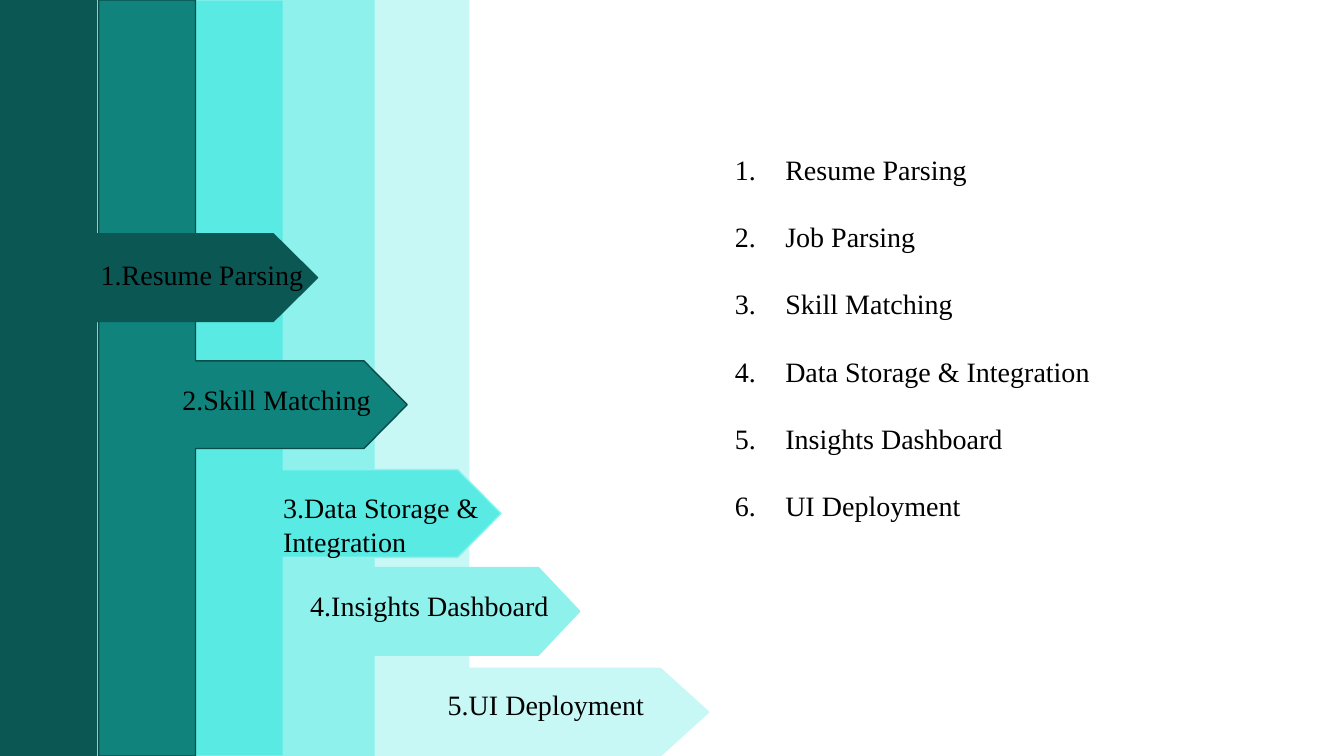
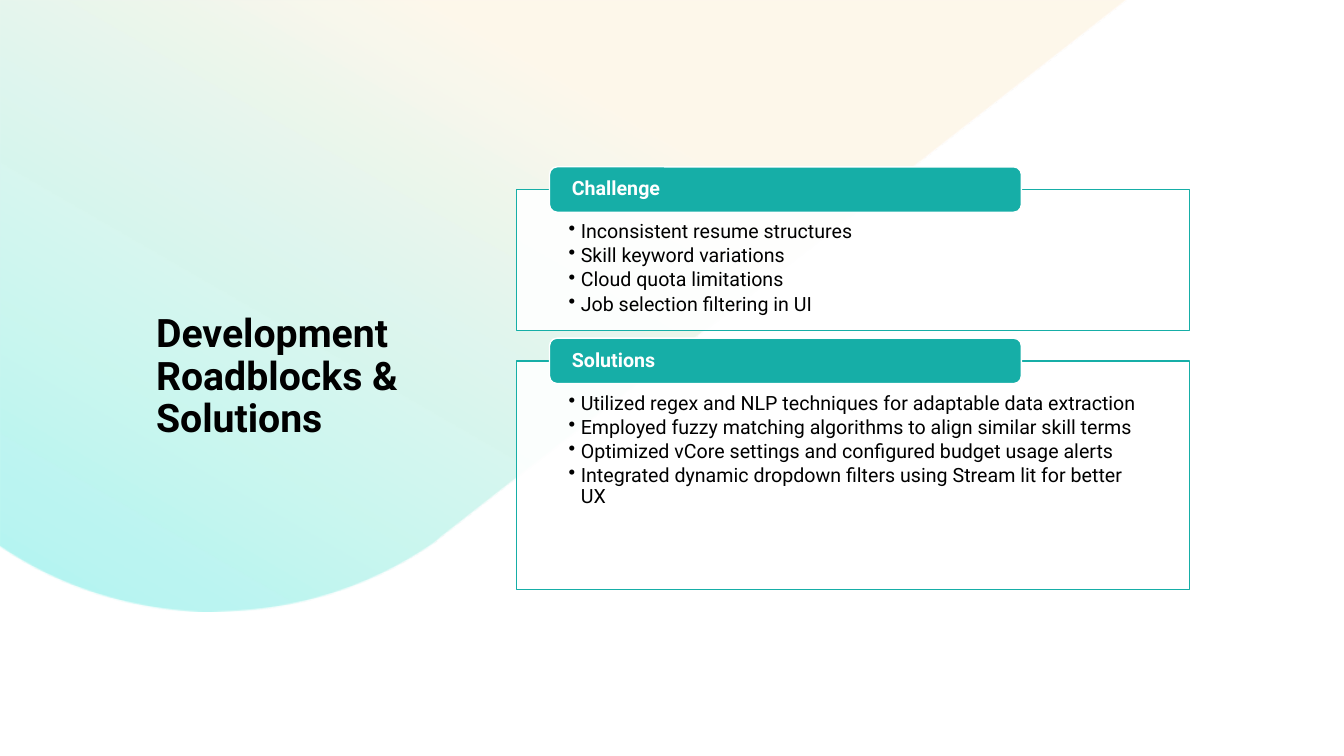
"""Build a two-slide deck: process arrows, and roadblocks with solutions."""
from dataclasses import dataclass

from lxml.etree import SubElement
from pptx import Presentation
from pptx.dml.color import RGBColor
from pptx.enum.shapes import MSO_SHAPE
from pptx.enum.text import MSO_ANCHOR, PP_ALIGN
from pptx.oxml.ns import qn
from pptx.util import Inches, Pt


@dataclass(frozen=True)
class Theme:
    ink: str = "000000"
    white: str = "FFFFFF"
    teal: str = "16AEA7"
    cream: str = "FEEFD9"
    aqua: str = "58EAE3"
    serif: str = "Times New Roman"
    sans: str = "Roboto"
    title: int = 28
    label: int = 20
    body: int = 14


T = Theme()
WIDE, HIGH = 13.33, 7.5
BAND, SHAFT = 0.96, 0.87

BANDS = [
    dict(left=0, top=2.32, neck=2.71, tip=3.15, fill="0B5754", line="0B5754",
         text="1.Resume Parsing", box=(0.9, 2.51, 2.8, 0.44)),
    dict(left=0.98, top=3.58, neck=3.61, tip=4.04, fill="10837D", line="0A4C49",
         text="2.Skill Matching", box=(1.71, 3.75, 2.8, 0.44)),
    dict(left=1.85, top=4.66, neck=4.54, tip=4.97, fill=T.aqua, line="8FF1EC",
         text="3.Data Storage & Integration", box=(2.71, 4.82, 2.8, 0.77)),
    dict(left=2.75, top=5.63, neck=5.34, tip=5.75, fill="8FF1EC", line="8FF1EC",
         text="4.Insights Dashboard", box=(2.86, 5.79, 2.8, 0.44), align=PP_ALIGN.CENTER),
    dict(left=3.69, top=6.63, neck=6.55, tip=7.03, fill="C7F8F6", line="C7F8F6",
         text="5.UI Deployment", box=(3.88, 6.77, 3.07, 0.44), align=PP_ALIGN.CENTER),
]

STEPS = ["Resume Parsing", "Job Parsing", "Skill Matching",
         "Data Storage & Integration", "Insights Dashboard", "UI Deployment"]

TITLE = "Development Roadblocks & Solutions"
CARDS = [
    ("Challenge", 1.4, [
        "Inconsistent resume structures",
        "Skill keyword variations",
        "Cloud quota limitations",
        "Job selection filtering in UI"]),
    ("Solutions", 2.27, [
        "Utilized regex and NLP techniques for adaptable data extraction",
        "Employed fuzzy matching algorithms to align similar skill terms",
        "Optimized vCore settings and configured budget usage alerts",
        "Integrated dynamic dropdown filters using Stream lit for better UX"]),
]

CURVES = [
    ((4.31, 5.38), (3.69, 5.81), (2.99, 6.03), (2.29, 6.06)),
    ((2.07, 6.07), (1.33, 6.05), (0.61, 5.83), (0, 5.41)),
]


def write(shape, lines, font=T.sans, size=T.body, color=T.ink, bold=False,
          align=PP_ALIGN.LEFT, anchor=MSO_ANCHOR.TOP, inset=(0.1, 0.05, 0.1, 0.05),
          bullet=None, indent=0, space=1, after=0):
    frame = shape.text_frame
    frame.word_wrap = True
    frame.vertical_anchor = anchor
    (frame.margin_left, frame.margin_top,
     frame.margin_right, frame.margin_bottom) = map(Inches, inset)
    for i, line in enumerate(lines):
        para = frame.add_paragraph() if i else frame.paragraphs[0]
        para.alignment = align
        para.line_spacing = space
        para.space_after = Pt(after)
        if bullet:
            tag, key, value = bullet
            props = para._p.get_or_add_pPr()
            props.set("marL", str(Inches(indent)))
            props.set("indent", str(-Inches(indent)))
            SubElement(props, qn(tag)).set(key, value)
        run = para.add_run()
        run.text = line
        run.font.name, run.font.size, run.font.bold = font, Pt(size), bold
        run.font.color.rgb = RGBColor.from_string(color)


def place(slide, box, kind=None):
    area = [Inches(n) for n in box]
    if kind is None:
        return slide.shapes.add_textbox(*area)
    return slide.shapes.add_shape(kind, *area)


def paint(shape, fill, line):
    shape.shadow.inherit = False
    shape.fill.solid()
    shape.fill.fore_color.rgb = RGBColor.from_string(fill)
    shape.line.color.rgb = RGBColor.from_string(line)
    shape.line.width = Pt(1)


def fade(shape, *shares):
    for node, share in zip(shape.element.iter(qn("a:srgbClr")), shares):
        SubElement(node, qn("a:alpha")).set("val", str(share * 1000))


def trace(slide, points):
    spots = [(Inches(x), Inches(y)) for x, y in points]
    pen = slide.shapes.build_freeform(*spots[0])
    pen.add_line_segments(spots[1:], close=True)
    return pen.convert_to_shape()


def bend(a, b, c, d, count=24):
    for i in range(count + 1):
        t = i / count
        u = 1 - t
        yield tuple(u**3 * p + 3 * u * u * t * q + 3 * u * t * t * r + t**3 * s
                    for p, q, r, s in zip(a, b, c, d))


def draw_steps(slide):
    for band in reversed(BANDS):
        left, top = band["left"], band["top"]
        right, base = left + BAND, top + SHAFT
        shape = trace(slide, [
            (left, 0), (right, 0), (right, top), (band["neck"], top),
            (band["tip"], top + SHAFT / 2), (band["neck"], base),
            (right, base), (right, HIGH), (left, HIGH)])
        paint(shape, band["fill"], band["line"])
    for band in BANDS:
        write(place(slide, band["box"]), [band["text"]], font=T.serif, size=T.label,
              align=band.get("align", PP_ALIGN.LEFT))
    write(place(slide, (7.19, 1.13, 3.96, 4.04)), STEPS, font=T.serif, size=T.label,
          bullet=("a:buAutoNum", "type", "arabicPeriod"), indent=0.5, space=2)


def draw_sweep(slide):
    points = [(0, 0), (11.17, 0), (4.38, 5.32)]
    for curve in CURVES:
        points.extend(bend(*curve))
    sweep = trace(slide, points)
    sweep.shadow.inherit = False
    sweep.line.fill.background()
    sweep.fill.gradient()
    sweep.fill.gradient_angle = 240
    for stop, color, spot in zip(sweep.fill.gradient_stops, (T.cream, T.aqua), (0.32, 1)):
        stop.color.rgb = RGBColor.from_string(color)
        stop.position = spot
    fade(sweep, 52, 47)


def draw_cards(slide):
    draw_sweep(slide)
    write(place(slide, (1.45, 2.25, 3.3, 2.99)), [TITLE], size=T.title, bold=True,
          anchor=MSO_ANCHOR.MIDDLE, space=0.9)
    left, top, gap, tall = 5.12, 1.88, 0.3, 0.45
    for head, height, lines in CARDS:
        card = place(slide, (left, top, 6.68, height), MSO_SHAPE.RECTANGLE)
        paint(card, T.white, T.teal)
        fade(card, 90)
        write(card, lines, inset=(0.52, 0.32, 0.52, 0.11), space=0.9, after=2.1,
              bullet=("a:buChar", "char", "•"), indent=0.12)
        tab = place(slide, (left + 0.33, top - tall / 2, 4.68, tall),
                    MSO_SHAPE.ROUNDED_RECTANGLE)
        paint(tab, T.teal, T.white)
        write(tab, [head], color=T.white, bold=True, anchor=MSO_ANCHOR.MIDDLE,
              inset=(0.2, 0, 0.2, 0), space=0.9)
        top += height + gap


def main():
    deck = Presentation()
    deck.slide_width, deck.slide_height = Inches(WIDE), Inches(HIGH)
    for draw in (draw_steps, draw_cards):
        draw(deck.slides.add_slide(deck.slide_layouts[6]))
    deck.save("out.pptx")


if __name__ == "__main__":
    main()
